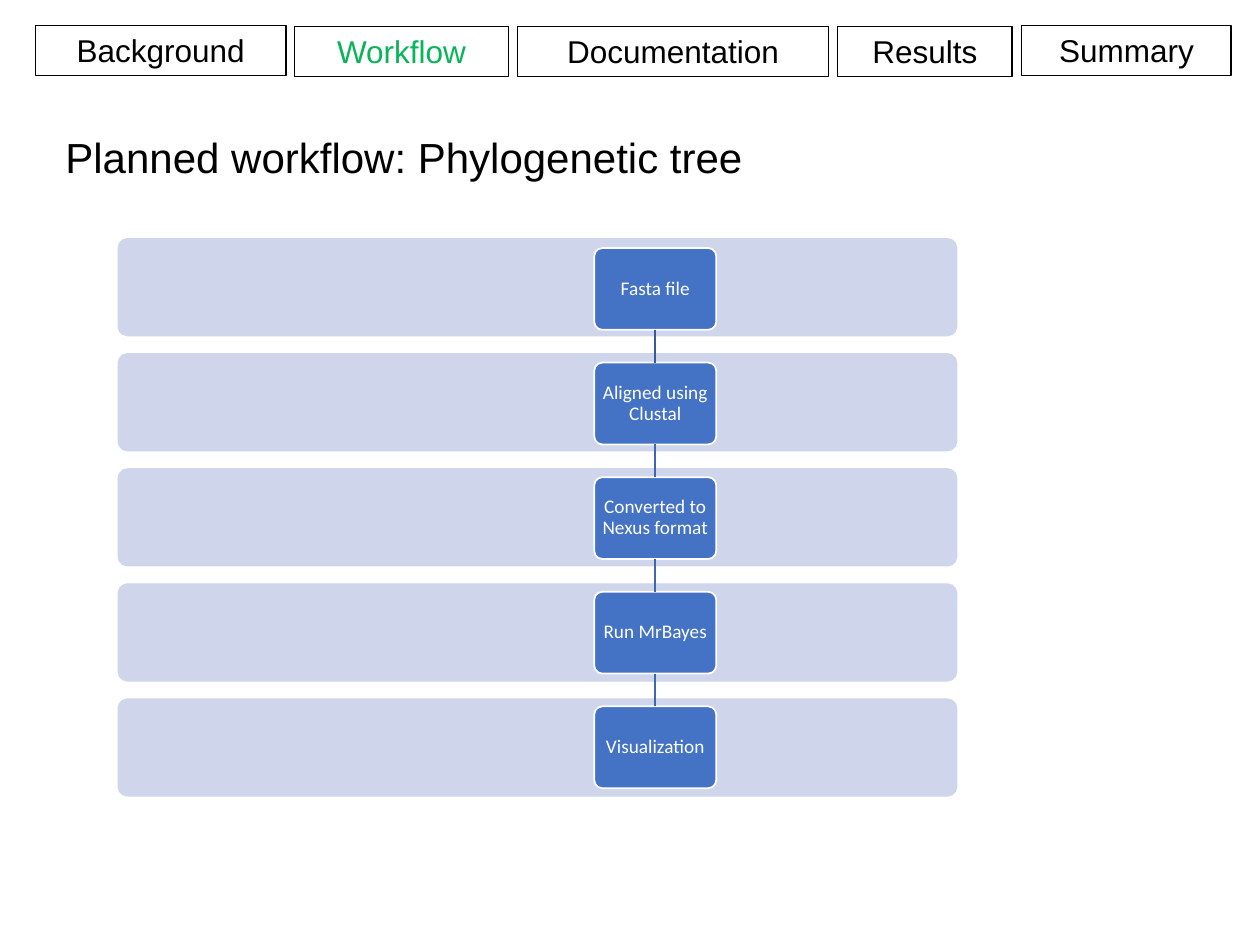
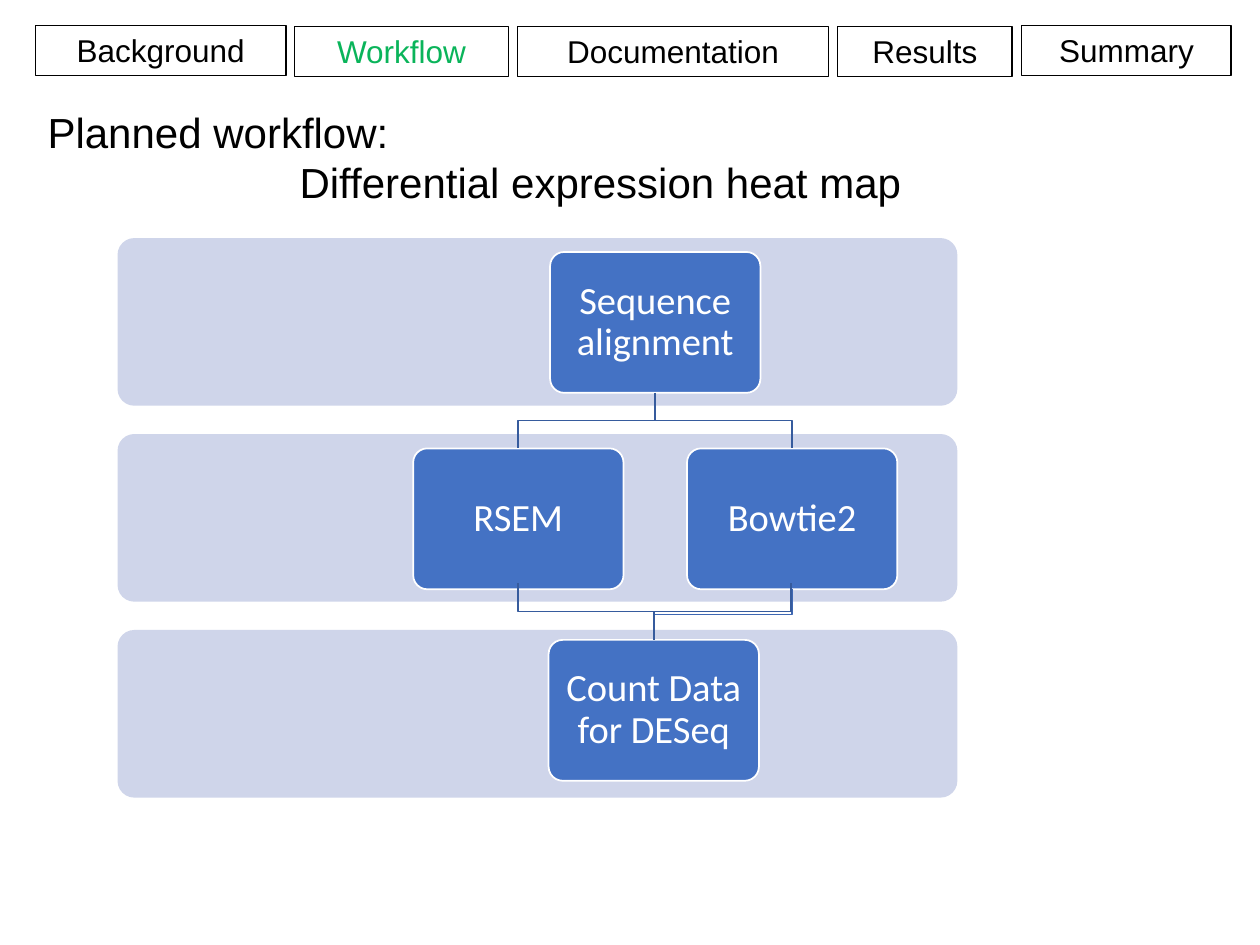
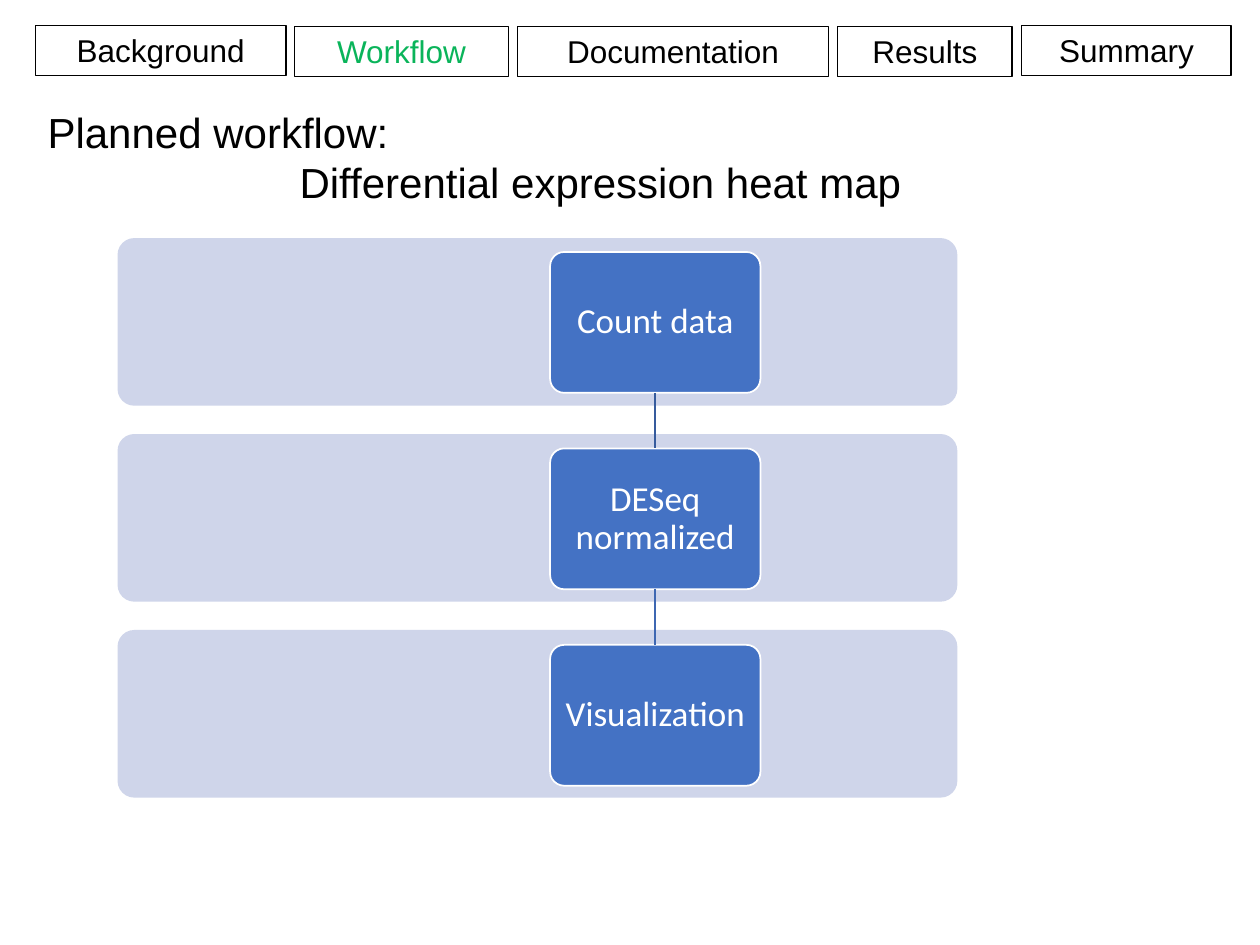
from dataclasses import dataclass
from itertools import pairwise

from lxml.etree import SubElement
from pptx import Presentation
from pptx.dml.color import RGBColor as Rgb
from pptx.enum.shapes import MSO_CONNECTOR as Conn, MSO_SHAPE as Kind
from pptx.enum.text import MSO_ANCHOR as Anchor, PP_ALIGN as Align
from pptx.oxml.ns import qn
from pptx.slide import Slide
from pptx.util import Cm, Pt

HUES = {
    "ink": "000000",
    "live": "0AB45A",
    "band": "CFD5EA",
    "node": "4472C4",
    "white": "FFFFFF",
    "dark": "365B9D",
    "mid": "3E67B2",
}
LIVE = "Workflow"
AXIS = 13.21
HEAT = ["Planned workflow:", "Differential expression heat map"]


@dataclass
class Tab:
    text: str
    left: float
    top: float
    wide: float


@dataclass
class Style:
    wide: float
    high: float
    size: int
    inset: float


@dataclass
class Node:
    text: str
    mid: float
    top: float


@dataclass
class Link:
    start: tuple[float, float]
    end: tuple[float, float]
    hue: str


TABS = [
    Tab("Background", 0.71, 0.51, 5.06),
    Tab("Workflow", 5.94, 0.53, 4.31),
    Tab("Documentation", 10.44, 0.53, 6.26),
    Tab("Results", 16.89, 0.53, 3.51),
    Tab("Summary", 20.6, 0.51, 4.22),
]
SMALL = Style(2.46, 1.65, 11, 0.09)
LARGE = Style(4.24, 2.84, 22, 0.2)
PLAIN = Style(4.24, 2.84, 20, 0.17)


def tint(hue: str) -> Rgb:
    return Rgb.from_string(HUES[hue])


def ink(para, face: str, size: int, hue: str) -> None:
    para.font.name = face
    para.font.size = Pt(size)
    para.font.color.rgb = tint(hue)


def box(slide: Slide, kind: Kind, left: float, top: float, wide: float,
        high: float, fill: str = "", line: str = "", width: float = 1):
    shape = slide.shapes.add_shape(kind, Cm(left), Cm(top), Cm(wide), Cm(high))
    shape.shadow.inherit = False
    if kind == Kind.ROUNDED_RECTANGLE:
        shape.adjustments[0] = 0.1
    if fill:
        shape.fill.solid()
        shape.fill.fore_color.rgb = tint(fill)
    else:
        shape.fill.background()
    if line:
        shape.line.color.rgb = tint(line)
        shape.line.width = Pt(width)
    else:
        shape.line.fill.background()
    return shape


def draw_tabs(slide: Slide) -> None:
    for tab in TABS:
        shape = box(slide, Kind.RECTANGLE, tab.left, tab.top, tab.wide, 1.02,
                    line="ink", width=0.75)
        shape.text_frame.vertical_anchor = Anchor.TOP
        para = shape.text_frame.paragraphs[0]
        para.text = tab.text
        para.alignment = Align.CENTER
        ink(para, "Arial", 18, "live" if tab.text == LIVE else "ink")


def draw_title(slide: Slide, lines: list[str], left: float, top: float,
               wide: float, high: float) -> None:
    area = slide.shapes.add_textbox(Cm(left), Cm(top), Cm(wide), Cm(high))
    frame = area.text_frame
    frame.word_wrap = True
    frame.text = "\n".join(lines)
    for para in frame.paragraphs:
        ink(para, "Arial", 24, "ink")
    for para in frame.paragraphs[1:]:
        para._p.get_or_add_pPr().set("marL", str(Cm(5.08)))


def draw_bands(slide: Slide, count: int, high: float, pitch: float) -> None:
    for row in reversed(range(count)):
        box(slide, Kind.ROUNDED_RECTANGLE, 2.37, 4.8 + row * pitch, 16.93, high,
            fill="band")


def draw_node(slide: Slide, node: Node, style: Style) -> None:
    shape = box(slide, Kind.ROUNDED_RECTANGLE, node.mid - style.wide / 2,
                node.top, style.wide, style.high, fill="node", line="white")
    frame = shape.text_frame
    frame.word_wrap = True
    frame.vertical_anchor = Anchor.MIDDLE
    frame.margin_left = frame.margin_right = Cm(style.inset)
    frame.margin_top = frame.margin_bottom = Cm(style.inset)
    para = frame.paragraphs[0]
    para.text = node.text
    para.alignment = Align.CENTER
    para.line_spacing = 0.9
    ink(para, "Calibri", style.size, "white")


def draw_link(slide: Slide, link: Link) -> None:
    (x1, y1), (x2, y2) = link.start, link.end
    if x1 == x2:
        line = slide.shapes.add_connector(Conn.STRAIGHT, Cm(x1), Cm(y1), Cm(x2), Cm(y2))
        SubElement(line._element.spPr, qn("a:effectLst"))
    else:
        bend = (y1 + y2) / 2
        path = slide.shapes.build_freeform(Cm(x1), Cm(y1))
        turns = [(x1, bend), (x2, bend), (x2, y2)]
        path.add_line_segments([(Cm(x), Cm(y)) for x, y in turns], close=False)
        line = path.convert_to_shape()
        line.shadow.inherit = False
        line.fill.background()
    line.line.color.rgb = tint(link.hue)
    line.line.width = Pt(1)


def join(upper: Node, lower: Node, style: Style, hue: str) -> Link:
    return Link((upper.mid, upper.top + style.high), (lower.mid, lower.top), hue)


def draw_flow(slide: Slide, nodes: list[Node], links: list[Link], style: Style) -> None:
    for node in nodes:
        draw_node(slide, node, style)
    for link in links:
        draw_link(slide, link)


def draw_chain(slide: Slide, steps: list[str], top: float, pitch: float,
               style: Style) -> None:
    nodes = [Node(step, AXIS, top + row * pitch) for row, step in enumerate(steps)]
    links = [join(upper, lower, style, "mid" if row else "dark")
             for row, (upper, lower) in enumerate(pairwise(nodes))]
    draw_flow(slide, nodes, links, style)


def draw_tree(slide: Slide) -> None:
    draw_title(slide, ["Planned workflow: Phylogenetic tree"], 1.07, 2.53, 19.53, 1.27)
    draw_bands(slide, 5, 1.98, 2.32)
    steps = ["Fasta file", "Aligned using Clustal", "Converted to Nexus format",
             "Run MrBayes", "Visualization"]
    draw_chain(slide, steps, 5, 2.31, SMALL)


def draw_heat(slide: Slide) -> None:
    draw_title(slide, HEAT, 0.71, 2.02, 22.56, 2.31)
    draw_bands(slide, 3, 3.38, 3.95)


def draw_align(slide: Slide) -> None:
    draw_heat(slide)
    root = Node("Sequence alignment", AXIS, 5.08)
    left = Node("RSEM", 10.45, 9.04)
    right = Node("Bowtie2", 15.97, 9.04)
    goal = Node("Count Data for DESeq", 13.18, 12.9)
    links = [
        join(root, left, LARGE, "dark"),
        join(root, right, LARGE, "dark"),
        join(right, goal, LARGE, "mid"),
        Link((15.95, 11.76), (goal.mid, goal.top), "dark"),
        Link((10.44, 11.76), (13.18, goal.top), "dark"),
    ]
    draw_flow(slide, [root, left, right, goal], links, LARGE)


def draw_count(slide: Slide) -> None:
    draw_heat(slide)
    draw_chain(slide, ["Count data", "DESeq normalized", "Visualization"],
               5.08, 3.96, PLAIN)


def main() -> None:
    deck = Presentation()
    deck.slide_width, deck.slide_height = Cm(25.4), Cm(19.05)
    for draw in (draw_tree, draw_align, draw_count):
        slide = deck.slides.add_slide(deck.slide_layouts[6])
        draw_tabs(slide)
        draw(slide)
    deck.save("out.pptx")


if __name__ == "__main__":
    main()
